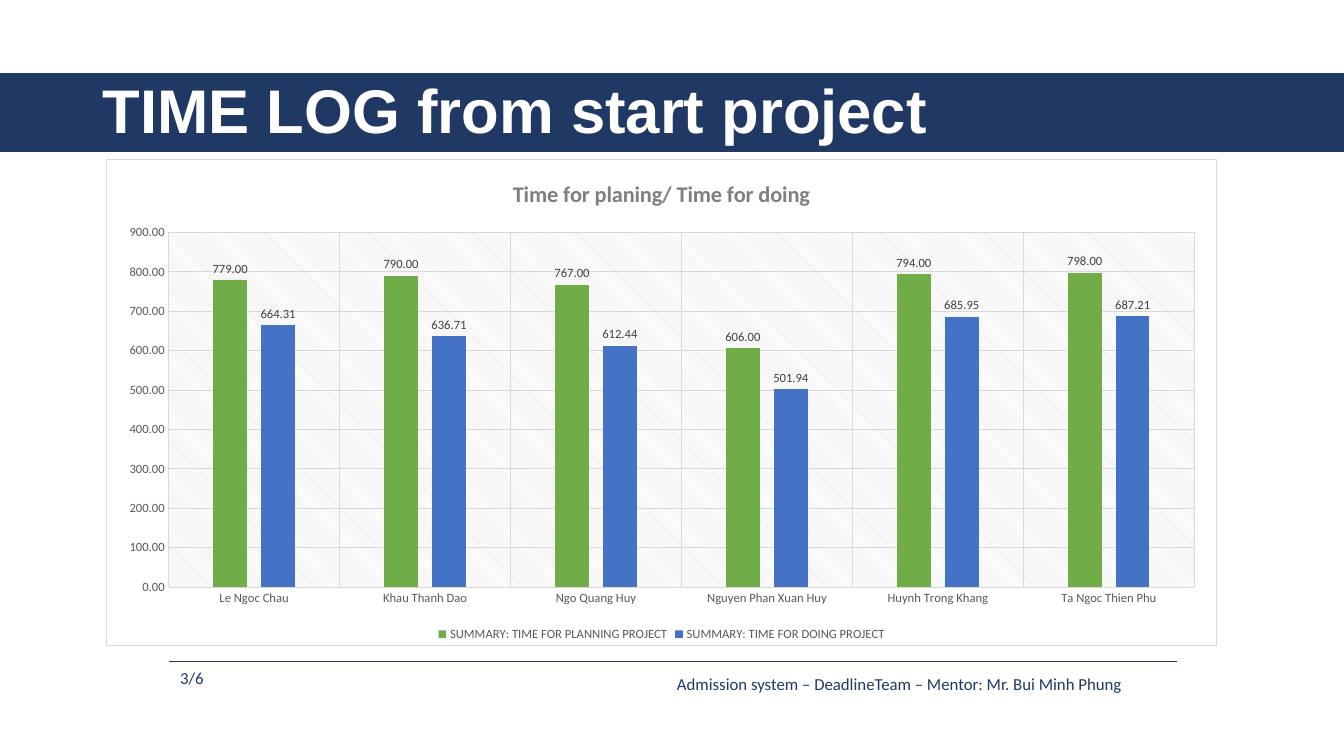
from lxml.etree import SubElement
from pptx import Presentation
from pptx.chart.data import CategoryChartData
from pptx.dml.color import RGBColor
from pptx.enum.chart import XL_CHART_TYPE as ChartType
from pptx.enum.chart import XL_LABEL_POSITION as LabelPosition
from pptx.enum.chart import XL_LEGEND_POSITION as LegendPosition
from pptx.enum.chart import XL_TICK_MARK as TickMark
from pptx.enum.shapes import MSO_CONNECTOR as Connector
from pptx.enum.shapes import MSO_SHAPE as Shape
from pptx.enum.text import MSO_ANCHOR as Anchor
from pptx.oxml import parse_xml
from pptx.oxml.ns import nsdecls, qn
from pptx.util import Cm, Pt

COLORS = {
    "navy": "203864", "white": "FFFFFF", "grid": "D9D9D9", "axis": "595959",
    "label": "404040", "title": "7F7F7F", "planning": "70AD47", "doing": "4472C4",
}
MEMBERS = ["Le Ngoc Chau", "Khau Thanh Dao", "Ngo Quang Huy",
           "Nguyen Phan Xuan Huy", "Huynh Trong Khang", "Ta Ngoc Thien Phu"]
TIMES = [
    ("SUMMARY: TIME FOR PLANNING PROJECT", "planning", [779, 790, 767, 606, 794, 798]),
    ("SUMMARY: TIME FOR DOING PROJECT", "doing",
     [664.31, 636.71, 612.44, 501.94, 685.95, 687.21]),
]
PLOT_AREA = {"x": 0.056, "y": 0.15, "w": 0.924, "h": 0.73}


def rgb(name):
    return RGBColor.from_string(COLORS[name])


def style_font(font, size, color, name="Calibri", bold=False):
    font.name = name
    font.size = Pt(size)
    font.bold = bold
    font.color.rgb = rgb(color)


def add_text(page, text, left, top, width, height, size=12, color="navy",
             name="Calibri", bold=False, wrap=True, anchor=Anchor.TOP, spacing=1.0):
    box = page.shapes.add_textbox(Cm(left), Cm(top), Cm(width), Cm(height))
    frame = box.text_frame
    frame.word_wrap = wrap
    frame.vertical_anchor = anchor
    para = frame.paragraphs[0]
    para.line_spacing = spacing
    span = para.add_run()
    span.text = text
    style_font(span.font, size, color, name, bold)


def add_band(page, left, top, width, height):
    band = page.shapes.add_shape(Shape.RECTANGLE, Cm(left), Cm(top), Cm(width), Cm(height))
    band.shadow.inherit = False
    band.fill.solid()
    band.fill.fore_color.rgb = rgb("navy")
    band.line.color.rgb = rgb("navy")
    band.line.width = Pt(1)


def add_rule(page, left, top, right):
    rule = page.shapes.add_connector(Connector.STRAIGHT, Cm(left), Cm(top), Cm(right), Cm(top))
    rule.line.color.rgb = rgb("navy")
    rule.line.width = Pt(0.5)
    SubElement(rule._element.spPr, qn("a:effectLst"))


def style_axis(axis):
    axis.major_tick_mark = TickMark.NONE
    axis.minor_tick_mark = TickMark.NONE
    axis.has_major_gridlines = True
    style_font(axis.tick_labels.font, 9, "axis")
    for line in (axis.format.line, axis.major_gridlines.format.line):
        line.color.rgb = rgb("grid")
        line.width = Pt(0.75)


def style_areas(chart):
    space = chart._chartSpace
    grid, white = COLORS["grid"], COLORS["white"]
    space.find(qn("c:chart")).addnext(parse_xml(
        f'<c:spPr {nsdecls("c", "a")}><a:solidFill><a:srgbClr val="{white}"/></a:solidFill>'
        f'<a:ln w="9525"><a:solidFill><a:srgbClr val="{grid}"/></a:solidFill></a:ln></c:spPr>'))
    plot_area = space.find(".//" + qn("c:plotArea"))
    for old in plot_area.findall(qn("c:layout")):
        plot_area.remove(old)
    modes = '<c:xMode val="edge"/><c:yMode val="edge"/>'
    sizes = "".join(f'<c:{key} val="{value}"/>' for key, value in PLOT_AREA.items())
    plot_area.insert(0, parse_xml(
        f'<c:layout {nsdecls("c")}><c:manualLayout><c:layoutTarget val="inner"/>'
        f'{modes}{sizes}</c:manualLayout></c:layout>'))
    plot_area.append(parse_xml(
        f'<c:spPr {nsdecls("c", "a")}><a:pattFill prst="ltDnDiag">'
        f'<a:fgClr><a:srgbClr val="{grid}"/></a:fgClr>'
        f'<a:bgClr><a:srgbClr val="{white}"/></a:bgClr></a:pattFill>'
        '<a:ln><a:noFill/></a:ln></c:spPr>'))


def style_series(series, color):
    series.format.fill.solid()
    series.format.fill.fore_color.rgb = rgb(color)
    series.invert_if_negative = False
    labels = series.data_labels
    labels.show_value = True
    labels.position = LabelPosition.OUTSIDE_END
    labels.number_format = "0.00"
    labels.number_format_is_linked = False
    style_font(labels.font, 9, "label")


def add_time_chart(page, left, top, width, height):
    data = CategoryChartData(number_format="0.00")
    data.categories = MEMBERS
    for name, _, values in TIMES:
        data.add_series(name, values)
    chart = page.shapes.add_chart(ChartType.COLUMN_CLUSTERED, Cm(left), Cm(top),
                                  Cm(width), Cm(height), data).chart
    chart.font.name = "Calibri"
    chart.font.size = Pt(10)

    chart.has_title = True
    span = chart.chart_title.text_frame.paragraphs[0].add_run()
    span.text = "Time for planing/ Time for doing"
    style_font(span.font, 16, "title", bold=True)
    chart.chart_title.include_in_layout = False

    chart.has_legend = True
    chart.legend.position = LegendPosition.BOTTOM
    chart.legend.include_in_layout = False
    style_font(chart.legend.font, 9, "axis")

    style_axis(chart.category_axis)
    value_axis = chart.value_axis
    style_axis(value_axis)
    value_axis.format.line.fill.background()
    value_axis.minimum_scale = 0
    value_axis.maximum_scale = 900
    value_axis.major_unit = 100
    value_axis.tick_labels.number_format = "0.00"
    value_axis.tick_labels.number_format_is_linked = False

    plot = chart.plots[0]
    plot.vary_by_categories = False
    plot.gap_width = 267
    plot.overlap = -43
    for series, (_, color, _) in zip(plot.series, TIMES):
        style_series(series, color)
    style_areas(chart)


def main():
    deck = Presentation()
    deck.slide_width = Cm(33.87)
    deck.slide_height = Cm(19.05)
    page = deck.slides.add_slide(deck.slide_layouts[6])
    add_band(page, 0, 1.85, 33.87, 1.96)
    add_text(page, "TIME LOG from start project", 2.34, 1.02, 29.2, 3.68, size=44,
             color="white", name="Arial", bold=True, anchor=Anchor.MIDDLE, spacing=0.9)
    add_rule(page, 4.27, 16.66, 29.67)
    add_text(page, "Admission system – DeadlineTeam – Mentor: Mr. Bui Minh Phung",
             16.81, 16.84, 12.9, 0.77, wrap=False)
    add_text(page, "3/6", 4.29, 16.71, 1.3, 0.77)
    add_time_chart(page, 2.67, 4.01, 28, 12.27)
    deck.save("out.pptx")


if __name__ == "__main__":
    main()
